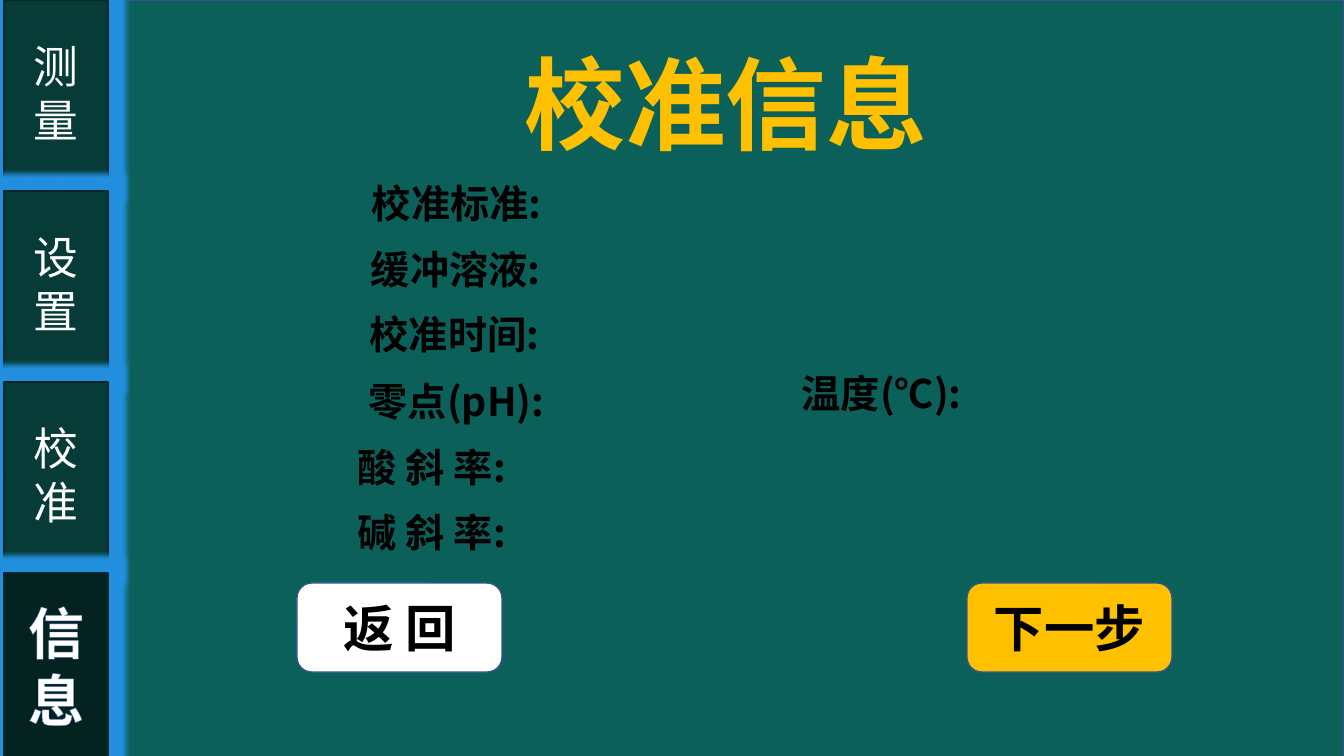
from lxml import etree
from pptx import Presentation, util as u
from pptx.dml.color import RGBColor
from pptx.enum import shapes, text
from pptx.oxml.ns import nsdecls

COL = {"back": "0B615A", "edge": "325491", "tab": "073B37", "now": "042220",
       "rim": "092729", "glow": "2490E0", "white": "FFFFFF", "gold": "FFC000",
       "black": "000000", "trim": "4472C4"}
SANS = "Noto Sans CJK SC"
BOX, ROUND = shapes.MSO_SHAPE.RECTANGLE, shapes.MSO_SHAPE.ROUNDED_RECTANGLE
MID = text.PP_ALIGN.CENTER

deck = Presentation()
px = u.Inches(1) / 100.8
deck.slide_width, deck.slide_height = int(1344 * px), int(756 * px)
slide = deck.slides.add_slide(deck.slide_layouts[6])


def block(kind, place, fill, line):
    shape = slide.shapes.add_shape(kind, *[int(n * px) for n in place])
    shape.shadow.inherit = False
    shape.fill.solid()
    shape.fill.fore_color.rgb = RGBColor.from_string(COL[fill])
    shape.line.color.rgb = RGBColor.from_string(COL[line])
    shape.line.width = u.Pt(1)
    return shape


def write(shape, words, size, ink, face=SANS, bold=True, align=MID):
    frame = shape.text_frame
    frame.text = words
    frame.word_wrap = True
    for par in frame.paragraphs:
        par.alignment = align
        font = par.font
        font.size, font.name, font.bold = u.Pt(size), face, bold
        font.color.rgb = RGBColor.from_string(COL[ink])
    return frame


# Background
block(BOX, (0, 0, 1344, 758), "back", "edge")

# Side tabs with a blue glow; the last one is current
tabs = ["测\n量", "设置", "校\n准", "信\n息"]
for i, name in enumerate(tabs):
    now = i == len(tabs) - 1
    tab = block(BOX, (4, 191 * i, 104, 185), "now" if now else "tab", "rim")
    glow = etree.fromstring(
        f'<a:glow {nsdecls("a")} rad="101600"><a:srgbClr val="{COL["glow"]}"/></a:glow>')
    tab._element.spPr.find(".//{*}effectLst").append(glow)
    frame = write(tab, name, 40 if now else 32, "white", "Calibri", now)
    frame.vertical_anchor = text.MSO_ANCHOR.MIDDLE
    if now:
        for par in frame.paragraphs:
            props = par.runs[0]._r.get_or_add_rPr()
            props.set("spc", "50")
            props.append(etree.fromstring(
                f'<a:ln {nsdecls("a")} w="9525"><a:solidFill>'
                f'<a:srgbClr val="{COL["trim"]}"/></a:solidFill></a:ln>'))

# Title with a soft shadow
title = slide.shapes.add_textbox(*[int(n * px) for n in (318, 37, 816, 132)])
frame = write(title, "校准信息", 72, "gold")
frame.paragraphs[0].runs[0]._r.get_or_add_rPr().append(etree.fromstring(
    f'<a:effectLst {nsdecls("a")}><a:outerShdw blurRad="38100" dist="38100" '
    f'dir="2700000"><a:srgbClr val="{COL["black"]}"><a:alpha val="43000"/>'
    '</a:srgbClr></a:outerShdw></a:effectLst>'))

# Buttons
for left, name, fill in [(297, "返 回", "white"), (967, "下一步", "gold")]:
    key = block(ROUND, (left, 583, 205, 89), fill, "edge")
    write(key, name, 36, "black").vertical_anchor = text.MSO_ANCHOR.MIDDLE

# Field labels
labels = [(362, 174, "校准标准:"), (361, 240, "缓冲溶液:"), (360, 305, "校准时间:"),
          (359, 372, "零点(pH):"), (348, 438, "酸 斜 率:"), (348, 503, "碱 斜 率:"),
          (792, 364, "温度(℃):")]
for left, top, name in labels:
    label = slide.shapes.add_textbox(*[int(n * px) for n in (left, top, 210, 57)])
    write(label, name, 28, "black", align=text.PP_ALIGN.LEFT)

deck.save("out.pptx")
